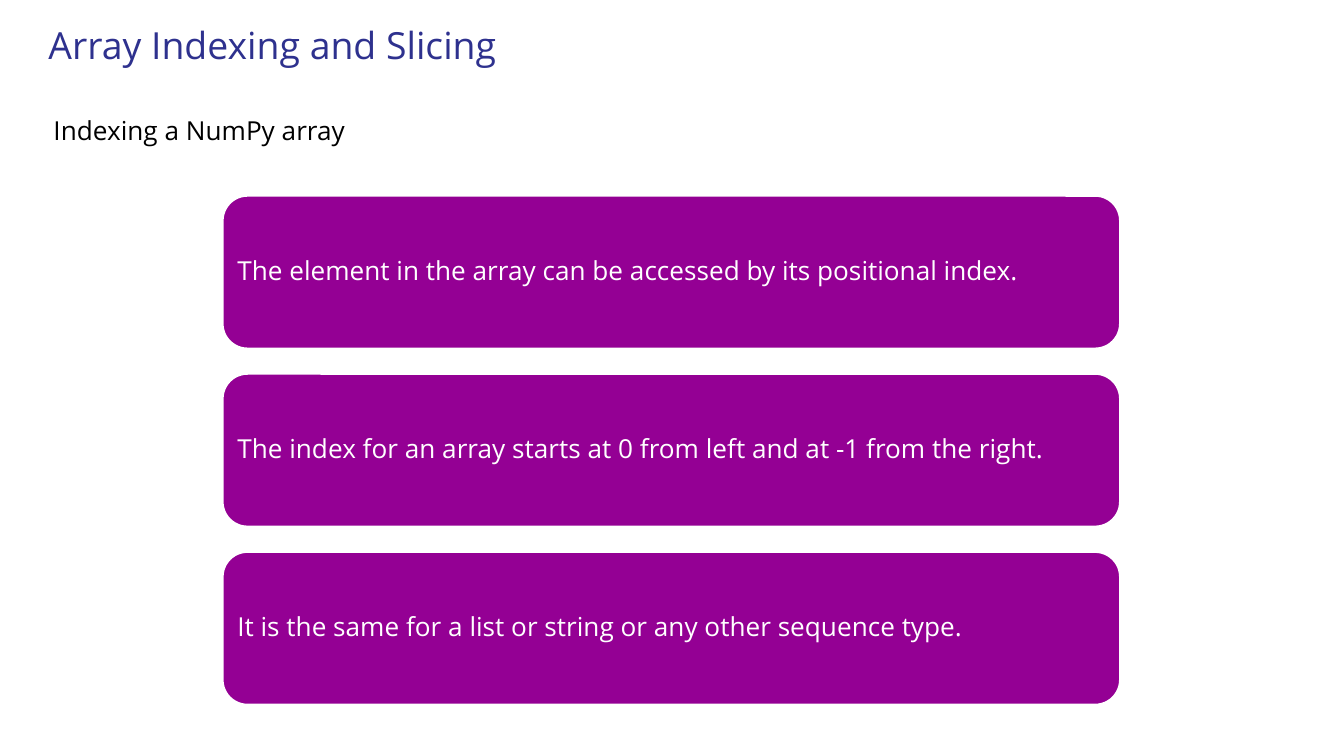
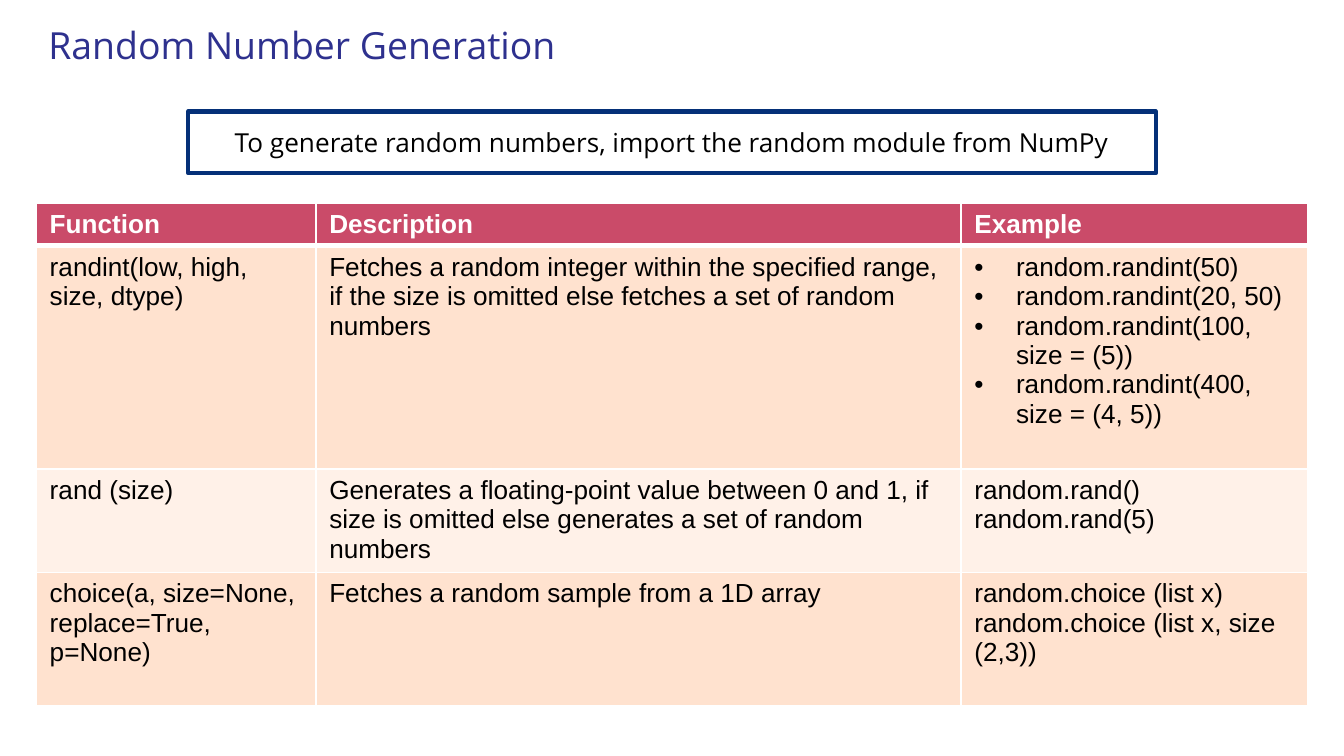
from dataclasses import dataclass
from typing import Any

import pptx
import pptx.dml.color
import pptx.enum.shapes
import pptx.enum.text
import pptx.oxml.ns
import pptx.util
from lxml import etree

Inches = pptx.util.Inches
Pt = pptx.util.Pt
Color = pptx.dml.color.RGBColor
Anchor = pptx.enum.text.MSO_ANCHOR
Align = pptx.enum.text.PP_ALIGN
Preset = pptx.enum.shapes.MSO_SHAPE


@dataclass(frozen=True)
class Theme:
    title: str = "2E318E"
    text: str = "000000"
    light: str = "FFFFFF"
    card: str = "940094"
    outline: str = "043078"
    header: str = "CA4B69"
    bands: tuple[str, str] = ("FFE2CF", "FFF1E8")
    sans: str = "Open Sans"
    table_font: str = "Arial"
    title_size: int = 20
    body_size: int = 14


@dataclass(frozen=True)
class Box:
    left: float
    top: float
    width: float
    height: float

    def lengths(self) -> tuple[int, int, int, int]:
        return (Inches(self.left), Inches(self.top), Inches(self.width), Inches(self.height))


@dataclass(frozen=True)
class TextStyle:
    color: str
    size: int
    font: str
    bold: bool = False


@dataclass(frozen=True)
class Panel:
    preset: Any
    box: Box
    text: str
    style: TextStyle
    fill: str | None
    line: str
    line_width: float
    frame: dict[str, Any]
    paragraph: dict[str, Any]


@dataclass(frozen=True)
class FunctionRow:
    function: str
    description: str
    examples: tuple[str, ...]
    height: float
    bulleted: bool = False


THEME = Theme()
TITLE = TextStyle(THEME.title, THEME.title_size, THEME.sans)
BODY = TextStyle(THEME.text, THEME.body_size, THEME.sans)
CARD = TextStyle(THEME.light, THEME.body_size, THEME.sans)
TABLE_HEADER = TextStyle(THEME.light, THEME.body_size, THEME.table_font, True)
TABLE_BODY = TextStyle(THEME.text, THEME.body_size, THEME.table_font)

SLIDE_WIDTH = Inches(10)
SLIDE_HEIGHT = SLIDE_WIDTH * 9 // 16
TITLE_BOX = Box(0.26, 0.08, 6.21, 0.51)
MARGINS = ("margin_left", "margin_top", "margin_right", "margin_bottom")
TITLE_ONLY_LAYOUT = 5

CARD_TOP = 1.45
LAST_CARD_TOP = 4.1
CARD_TEXTS = (
    "The element in the array can be accessed by its positional index.",
    "The index for an array starts at 0 from left and at -1 from the right.",
    "It is the same for a list or string or any other sequence type.",
)
CARD_PITCH = (LAST_CARD_TOP - CARD_TOP) / (len(CARD_TEXTS) - 1)

TABLE_COLUMNS = (2.08, 4.8, 2.58)
TABLE_HEADINGS = ("Function", "Description", "Example")
HEADER_HEIGHT = 0.32
FUNCTION_ROWS = (
    FunctionRow(
        "randint(low, high, size, dtype)",
        "Fetches a random integer within the specified range, if the size is omitted "
        "else fetches a set of random numbers",
        (
            "random.randint(50)",
            "random.randint(20, 50)",
            "random.randint(100, size = (5))",
            "random.randint(400, size = (4, 5))",
        ),
        1.66,
        True,
    ),
    FunctionRow(
        "rand (size)",
        "Generates a floating-point value between 0 and 1, if size is omitted "
        "else generates a set of random numbers",
        ("random.rand()", "random.rand(5)"),
        0.77,
    ),
    FunctionRow(
        "choice(a, size=None, replace=True, p=None)",
        "Fetches a random sample from a 1D array",
        ("random.choice (list x)", "random.choice (list x, size (2,3))"),
        0.99,
    ),
)


def apply(target: Any, values: dict[str, Any]) -> None:
    for name, value in values.items():
        setattr(target, name, value)


def add_element(parent: Any, tag: str, **attributes: str) -> Any:
    return etree.SubElement(parent, pptx.oxml.ns.qn(tag), attributes)


def add_bullet(paragraph: Any) -> None:
    properties = paragraph._p.get_or_add_pPr()
    indents = {"marL": Inches(0.31), "indent": -Inches(0.31)}
    for name, value in indents.items():
        properties.set(name, str(value))
    add_element(add_element(properties, "a:buClr"), "a:srgbClr", val=THEME.text)
    add_element(properties, "a:buFont", typeface=THEME.table_font)
    add_element(properties, "a:buChar", char="•")


def write_text(
    frame: Any,
    lines: tuple[str, ...],
    style: TextStyle,
    paragraph_format: dict[str, Any] | None = None,
    bulleted: bool = False,
) -> None:
    for index, line in enumerate(lines):
        paragraph = frame.add_paragraph() if index else frame.paragraphs[0]
        if bulleted:
            add_bullet(paragraph)
        apply(paragraph, paragraph_format or {})
        run = paragraph.add_run()
        run.text = line
        apply(run.font, {"name": style.font, "size": Pt(style.size), "bold": style.bold})
        run.font.color.rgb = Color.from_string(style.color)


def add_titled_slide(presentation: Any, title: str) -> Any:
    slide = presentation.slides.add_slide(presentation.slide_layouts[TITLE_ONLY_LAYOUT])
    shape = slide.shapes.title
    apply(shape, dict(zip(("left", "top", "width", "height"), TITLE_BOX.lengths())))
    frame = shape.text_frame
    apply(frame, {
        "word_wrap": True,
        "auto_size": pptx.enum.text.MSO_AUTO_SIZE.NONE,
        "vertical_anchor": Anchor.MIDDLE,
        **dict.fromkeys(MARGINS, Inches(0.1)),
    })
    write_text(frame, (title,), TITLE, {"alignment": Align.LEFT})
    return slide


def add_panel(slide: Any, panel: Panel) -> None:
    shape = slide.shapes.add_shape(panel.preset, *panel.box.lengths())
    shape.shadow.inherit = False
    if panel.fill:
        shape.fill.solid()
        shape.fill.fore_color.rgb = Color.from_string(panel.fill)
    else:
        shape.fill.background()
    shape.line.color.rgb = Color.from_string(panel.line)
    shape.line.width = Pt(panel.line_width)
    apply(shape.text_frame, {"word_wrap": True, "vertical_anchor": Anchor.MIDDLE, **panel.frame})
    write_text(shape.text_frame, (panel.text,), panel.style, panel.paragraph)


def format_cell(cell: Any, fill: str, top: float = 1, bottom: float = 1) -> None:
    properties = cell._tc.get_or_add_tcPr()
    for side, width in {"L": 1, "R": 1, "T": top, "B": bottom}.items():
        border = add_element(properties, f"a:ln{side}", w=str(Pt(width)))
        add_element(add_element(border, "a:solidFill"), "a:srgbClr", val=THEME.light)
    cell.fill.solid()
    cell.fill.fore_color.rgb = Color.from_string(fill)


def add_function_table(slide: Any) -> None:
    heights = (HEADER_HEIGHT, *(row.height for row in FUNCTION_ROWS))
    box = Box(0.27, 1.51, sum(TABLE_COLUMNS), sum(heights))
    table = slide.shapes.add_table(len(heights), len(TABLE_COLUMNS), *box.lengths()).table
    table.horz_banding = False
    for column, width in zip(table.columns, TABLE_COLUMNS):
        column.width = Inches(width)
    for row, height in zip(table.rows, heights):
        row.height = Inches(height)
    for index, heading in enumerate(TABLE_HEADINGS):
        cell = table.cell(0, index)
        format_cell(cell, THEME.header, bottom=3)
        write_text(cell.text_frame, (heading,), TABLE_HEADER)
    for row_index, row in enumerate(FUNCTION_ROWS, start=1):
        columns = ((row.function,), (row.description,), row.examples)
        for column_index, lines in enumerate(columns):
            cell = table.cell(row_index, column_index)
            format_cell(cell, THEME.bands[(row_index - 1) % 2], top=3 if row_index == 1 else 1)
            bulleted = row.bulleted and lines is row.examples
            write_text(cell.text_frame, lines, TABLE_BODY, bulleted=bulleted)


def build_indexing_slide(presentation: Any) -> None:
    slide = add_titled_slide(presentation, "Array Indexing and Slicing")
    subtitle = slide.shapes.add_textbox(*Box(0.3, 0.8, 4.3, 0.34).lengths())
    subtitle.text_frame.word_wrap = True
    write_text(subtitle.text_frame, ("Indexing a NumPy array",), BODY)
    for index, text in enumerate(CARD_TEXTS):
        add_panel(slide, Panel(
            Preset.ROUNDED_RECTANGLE,
            Box(1.65, CARD_TOP + index * CARD_PITCH, 6.69, 1.15),
            text, CARD, THEME.card, THEME.light, 2,
            dict.fromkeys(MARGINS, Inches(0.06)),
            {"alignment": Align.LEFT, "line_spacing": 0.9},
        ))


def build_random_slide(presentation: Any) -> None:
    slide = add_titled_slide(presentation, "Random Number Generation")
    add_function_table(slide)
    add_panel(slide, Panel(
        Preset.RECTANGLE,
        Box(1.4, 0.83, 7.2, 0.46),
        "To generate random numbers, import the random module from NumPy",
        BODY, None, THEME.outline, 2.25,
        {}, {"alignment": Align.CENTER},
    ))


def main() -> None:
    presentation = pptx.Presentation()
    apply(presentation, {"slide_width": SLIDE_WIDTH, "slide_height": SLIDE_HEIGHT})
    build_indexing_slide(presentation)
    build_random_slide(presentation)
    presentation.save("out.pptx")


if __name__ == "__main__":
    main()
